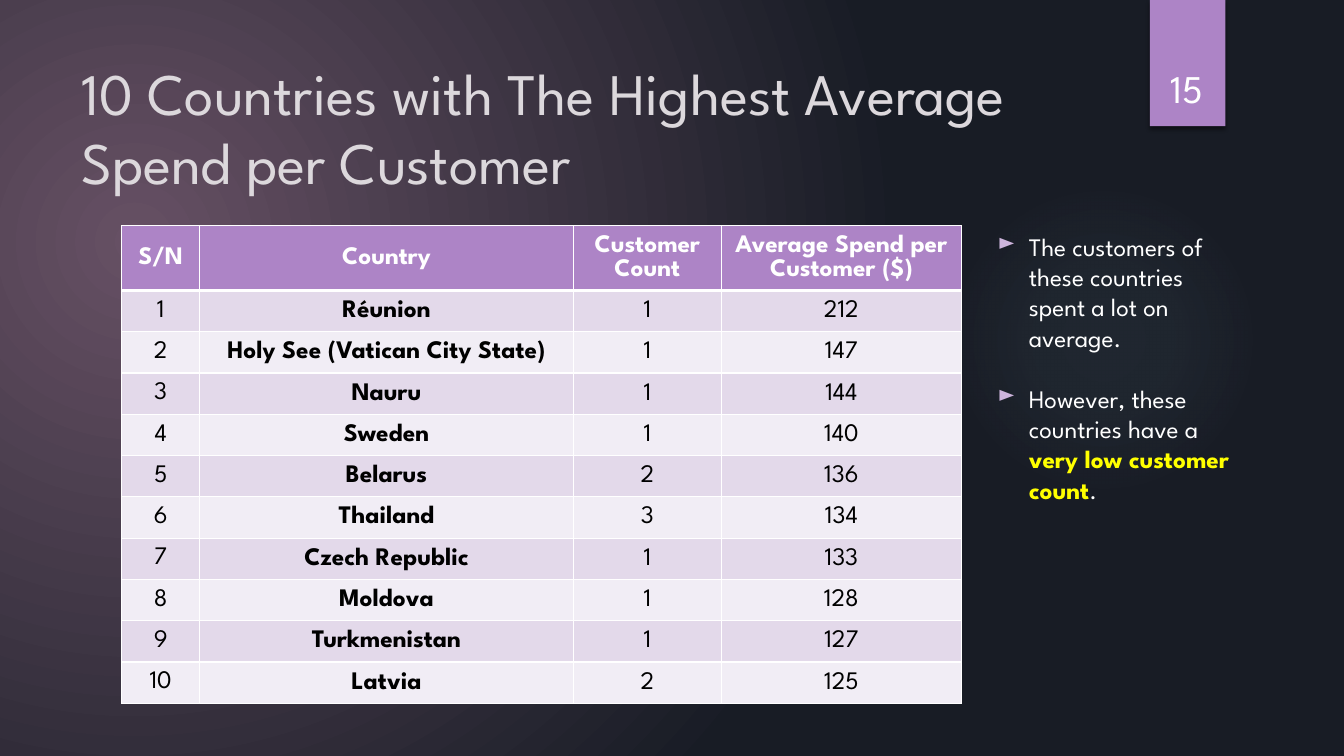
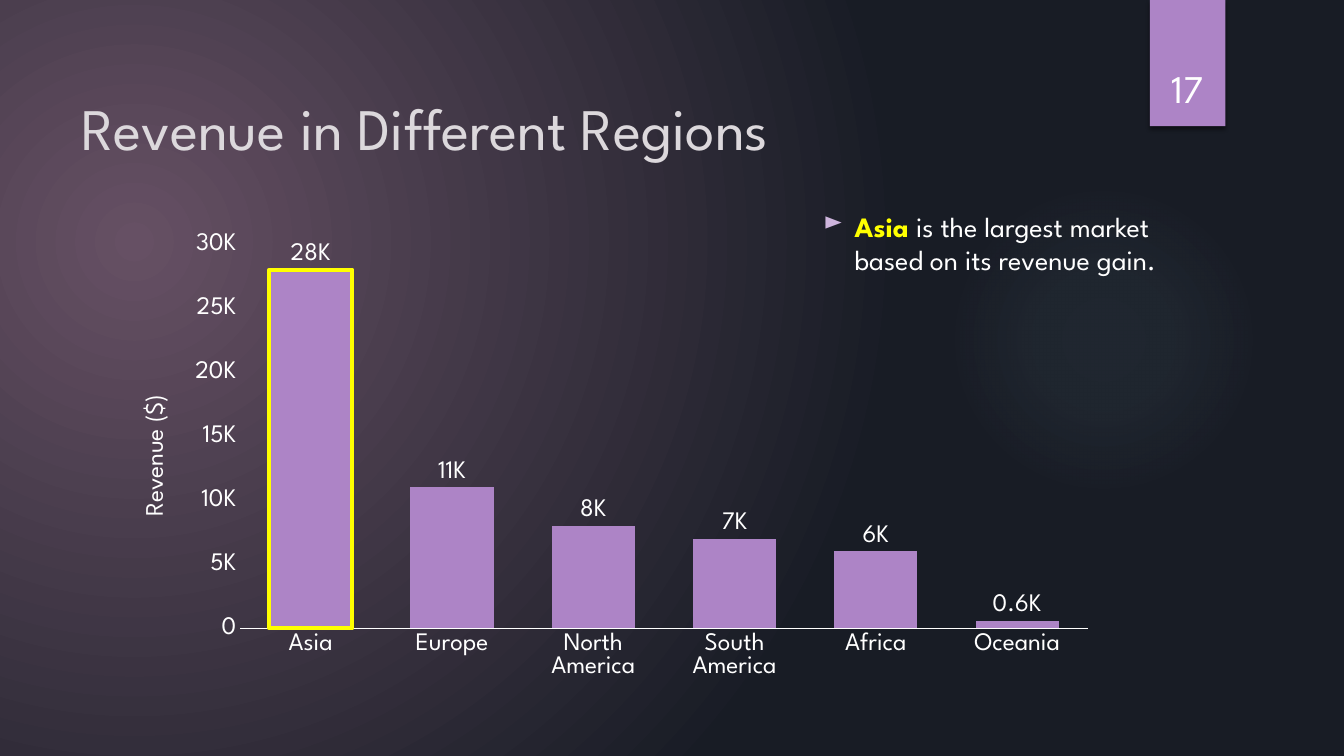
"""Build two slides on customer spend and revenue: a table and a column chart."""
from lxml import etree
from pptx import Presentation
from pptx.chart.data import CategoryChartData
from pptx.dml.color import RGBColor
from pptx.enum.chart import XL_CHART_TYPE, XL_LABEL_POSITION, XL_TICK_MARK
from pptx.enum.shapes import MSO_SHAPE
from pptx.enum.text import MSO_ANCHOR, PP_ALIGN
from pptx.oxml import parse_xml
from pptx.oxml.ns import nsdecls, qn
from pptx.util import Cm, Pt

COLUMN = XL_CHART_TYPE.COLUMN_CLUSTERED
OUTSIDE = XL_LABEL_POSITION.OUTSIDE_END
NO_TICK = XL_TICK_MARK.NONE
OVAL, RECT = MSO_SHAPE.OVAL, MSO_SHAPE.RECTANGLE
TOP, MIDDLE, BOTTOM = MSO_ANCHOR.TOP, MSO_ANCHOR.MIDDLE, MSO_ANCHOR.BOTTOM
LEFT, CENTER = PP_ALIGN.LEFT, PP_ALIGN.CENTER

HUES = {
    "plum": "665064", "night": "181C25", "glow": "84ACB6", "band": "AD84C6",
    "title": "DCD8DC", "white": "FFFFFF", "black": "000000", "mark": "FFFF00",
    "bullet": "CEB5DD", "odd": "E3D9EA", "even": "F1EDF5",
}
RGB = {name: RGBColor.from_string(code) for name, code in HUES.items()}
FACE = "League Spartan"


def dress(font, hue, size=18, bold=False):
    """Apply the deck's typeface, a size, a weight and a colour to a font."""
    look = {"name": FACE, "size": Pt(size), "bold": bold}
    for key, value in look.items():
        setattr(font, key, value)
    font.color.rgb = RGB[hue]


def radial(stops, rect):
    """Return a circular gradient fill from (place, hue, opacity) stops."""
    marks = "".join(
        f'<a:gs pos="{place * 1000}"><a:srgbClr val="{HUES[hue]}">'
        f'<a:alpha val="{alpha * 1000}"/></a:srgbClr></a:gs>'
        for place, hue, alpha in stops)
    sides = " ".join(f'{side}="{part * 1000}"' for side, part in zip("ltrb", rect))
    return parse_xml(
        f'<a:gradFill {nsdecls("a")} rotWithShape="1"><a:gsLst>{marks}</a:gsLst>'
        f'<a:path path="circle"><a:fillToRect {sides}/></a:path></a:gradFill>')


deck = Presentation()
deck.slide_width, deck.slide_height = Cm(33.87), Cm(19.05)

master = deck.slide_master
master.background.fill.solid()
back = master.element.find(".//" + qn("p:bgPr"))
back.replace(back.find(qn("a:solidFill")),
             radial([(0, "plum", 100), (100, "night", 100)], (45, 65, 125, 100)))

PAGES = [
    {
        "title": "10 Countries with The Highest Average Spend per Customer",
        "number": "15",
        "box": (24.89, 5.69, 6.65, 7.19), "size": 18, "lead": 21.7,
        "notes": [
            [("The customers of these countries spent a lot on average.", "white")],
            [("However, these countries have a ", "white"),
             ("very low customer count", "mark"), (".", "white")],
        ],
    },
    {
        "title": "Revenue in Different Regions",
        "number": "17",
        "box": (20.5, 5.16, 10.59, 1.96), "size": 20, "lead": 23.6,
        "notes": [
            [("Asia ", "mark"),
             ("is the largest market based on its revenue gain.", "white")],
        ],
    },
]

slides = []
for page in PAGES:
    slide = deck.slides.add_slide(deck.slide_layouts[6])
    slides.append(slide)

    glow = slide.shapes.add_shape(OVAL, Cm(23.9), Cm(4.65), Cm(7.82), Cm(7.82))
    band = slide.shapes.add_shape(RECT, Cm(28.98), Cm(0), Cm(1.9), Cm(3.18))
    for shape in (glow, band):
        shape.shadow.inherit = False
        shape.line.fill.background()
    glow.fill.background()
    props = glow.element.spPr
    props.replace(props.find(qn("a:noFill")), radial(
        [(0, "glow", 7), (36, "glow", 6), (69, "glow", 0)], (50, 50, 50, 50)))
    band.fill.solid()
    band.fill.fore_color.rgb = RGB["band"]
    band.element.spPr.find(qn("a:effectLst")).append(parse_xml(
        f'<a:outerShdw {nsdecls("a")} blurRad="{Pt(3)}" dist="{Pt(2)}" dir="5400000">'
        f'<a:srgbClr val="{HUES["black"]}"><a:alpha val="45000"/></a:srgbClr>'
        '</a:outerShdw>'))

    texts = [
        ((1.8, 1.27, 26.14, 3.89), MIDDLE, LEFT, 42, 49.3, [[(page["title"], "title")]]),
        ((28.75, 0.81, 2.34, 2.13), BOTTOM, CENTER, 28, None, [[(page["number"], "white")]]),
        (page["box"], TOP, LEFT, page["size"], page["lead"], page["notes"]),
    ]
    for box, anchor, align, size, lead, paras in texts:
        frame = slide.shapes.add_textbox(*map(Cm, box)).text_frame
        frame.word_wrap = True
        frame.vertical_anchor = anchor
        for row, runs in enumerate(paras):
            para = frame.add_paragraph() if row else frame.paragraphs[0]
            para.alignment = align
            if lead:
                para.line_spacing = Pt(lead)
                para.space_before = Pt(lead if row else 0)
            for words, hue in runs:
                run = para.add_run()
                run.text = words
                dress(run.font, hue, size, hue == "mark")
            if paras is page["notes"]:
                props = para._p.get_or_add_pPr()
                props.set("marL", str(Cm(0.79)))
                props.set("indent", str(-Cm(0.79)))
                tint = etree.SubElement(props, qn("a:buClr"))
                etree.SubElement(tint, qn("a:srgbClr"), val=HUES["bullet"])
                etree.SubElement(props, qn("a:buSzPct"), val="90000")
                etree.SubElement(props, qn("a:buChar"), char="►")

ROWS = [
    ("S/N", "Country", "Customer Count", "Average Spend per Customer ($)"),
    (1, "Réunion", 1, 212),
    (2, "Holy See (Vatican City State)", 1, 147),
    (3, "Nauru", 1, 144),
    (4, "Sweden", 1, 140),
    (5, "Belarus", 2, 136),
    (6, "Thailand", 3, 134),
    (7, "Czech Republic", 1, 133),
    (8, "Moldova", 1, 128),
    (9, "Turkmenistan", 1, 127),
    (10, "Latvia", 2, 125),
]
WIDTHS = (1.96, 9.42, 3.73, 6.05)
HEAD, STEP = 1.63, 1.04
table = slides[0].shapes.add_table(
    len(ROWS), len(WIDTHS), Cm(3.07), Cm(5.69),
    Cm(sum(WIDTHS)), Cm(HEAD + STEP * (len(ROWS) - 1))).table
for col, width in zip(table.columns, WIDTHS):
    col.width = Cm(width)
for row, values in enumerate(ROWS):
    table.rows[row].height = Cm(STEP if row else HEAD)
    fill = ("even", "odd")[row % 2] if row else "band"
    for col, value in enumerate(values):
        cell = table.cell(row, col)
        side, edge = (0.03, 0.02) if col else (0.23, 0.13)
        look = {"vertical_anchor": MIDDLE, "margin_left": Cm(side),
                "margin_right": Cm(side), "margin_top": Cm(edge),
                "margin_bottom": Cm(0 if col else edge)}
        for key, item in look.items():
            setattr(cell, key, item)
        cell.fill.solid()
        cell.fill.fore_color.rgb = RGB[fill]
        para = cell.text_frame.paragraphs[0]
        para.alignment = CENTER
        run = para.add_run()
        run.text = str(value)
        dress(run.font, "black" if row else "white", 18, row == 0 or col == 1)
        lines = {"lnL": 1, "lnR": 1, "lnT": 3 if row == 1 else 1, "lnB": 1 if row else 3}
        for spot, (tag, weight) in enumerate(lines.items()):
            cell._tc.get_or_add_tcPr().insert(spot, parse_xml(
                f'<a:{tag} {nsdecls("a")} w="{Pt(weight)}"><a:solidFill>'
                f'<a:srgbClr val="{HUES["white"]}"/></a:solidFill></a:{tag}>'))

data = CategoryChartData()
data.categories = ["Asia", "Europe", "North America", "South America", "Africa", "Oceania"]
data.add_series("Revenue", (28000, 11000, 8000, 7000, 6000, 600))
chart = slides[1].shapes.add_chart(
    COLUMN, Cm(3.07), Cm(5.69), Cm(24.84), Cm(11.66), data).chart
chart.has_legend = False
chart.has_title = False
dress(chart.font, "white")

plot = chart.plots[0]
look = {"gap_width": 70, "overlap": -27, "vary_by_categories": False,
        "has_data_labels": True}
for key, value in look.items():
    setattr(plot, key, value)
labels = plot.data_labels
look = {"show_value": True, "position": OUTSIDE,
        "number_format": r"[>999]#,\K;0.#,\K", "number_format_is_linked": False}
for key, value in look.items():
    setattr(labels, key, value)
dress(labels.font, "white")

bars = plot.series[0]
asia = bars.points[0]
for part in (bars, asia):
    part.format.fill.solid()
    part.format.fill.fore_color.rgb = RGB["band"]
asia.format.line.color.rgb = RGB["mark"]
asia.format.line.width = Pt(3)

across, upward = chart.category_axis, chart.value_axis
for axis in (across, upward):
    axis.major_tick_mark = axis.minor_tick_mark = NO_TICK
    axis.has_major_gridlines = False
    dress(axis.tick_labels.font, "white")
across.format.line.color.rgb = RGB["white"]
across.format.line.width = Pt(0.75)
upward.format.line.fill.background()
look = {"minimum_scale": 0, "maximum_scale": 30000, "major_unit": 5000}
for key, value in look.items():
    setattr(upward, key, value)
upward.tick_labels.number_format = r"[>999]#,\K;General"
upward.tick_labels.number_format_is_linked = False
run = upward.axis_title.text_frame.paragraphs[0].add_run()
run.text = "Revenue ($)"
dress(run.font, "white")

area = chart.element.find(".//" + qn("c:plotArea"))
for old in area.findall(qn("c:layout")):
    area.remove(old)
frame = etree.Element(qn("c:layout"))
manual = etree.SubElement(frame, qn("c:manualLayout"))
places = {"layoutTarget": "inner", "xMode": "edge", "yMode": "edge",
          "x": 0.12, "y": 0.04, "w": 0.86, "h": 0.83}
for tag, value in places.items():
    etree.SubElement(manual, qn("c:" + tag), val=str(value))
area.insert(0, frame)

deck.save("out.pptx")
